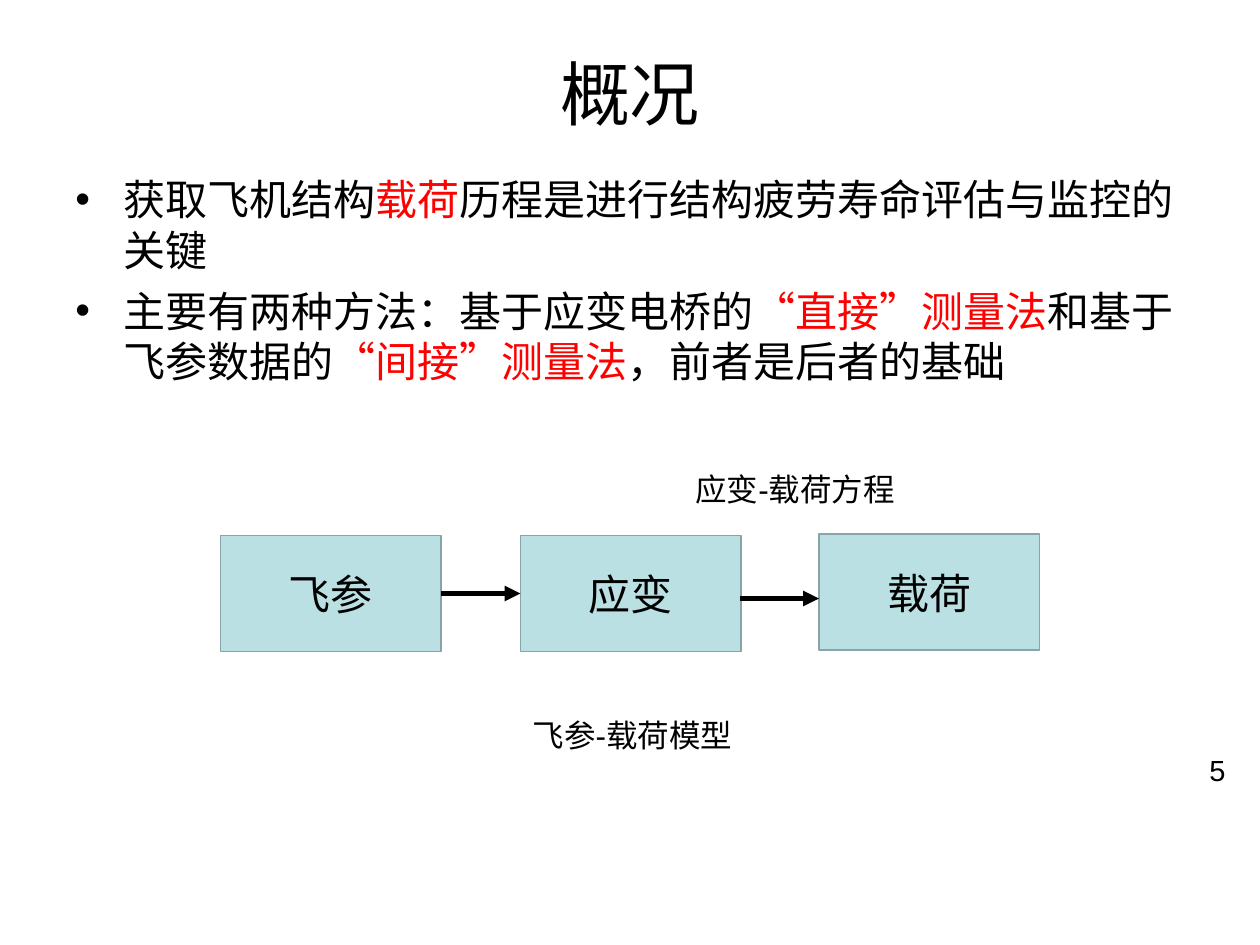
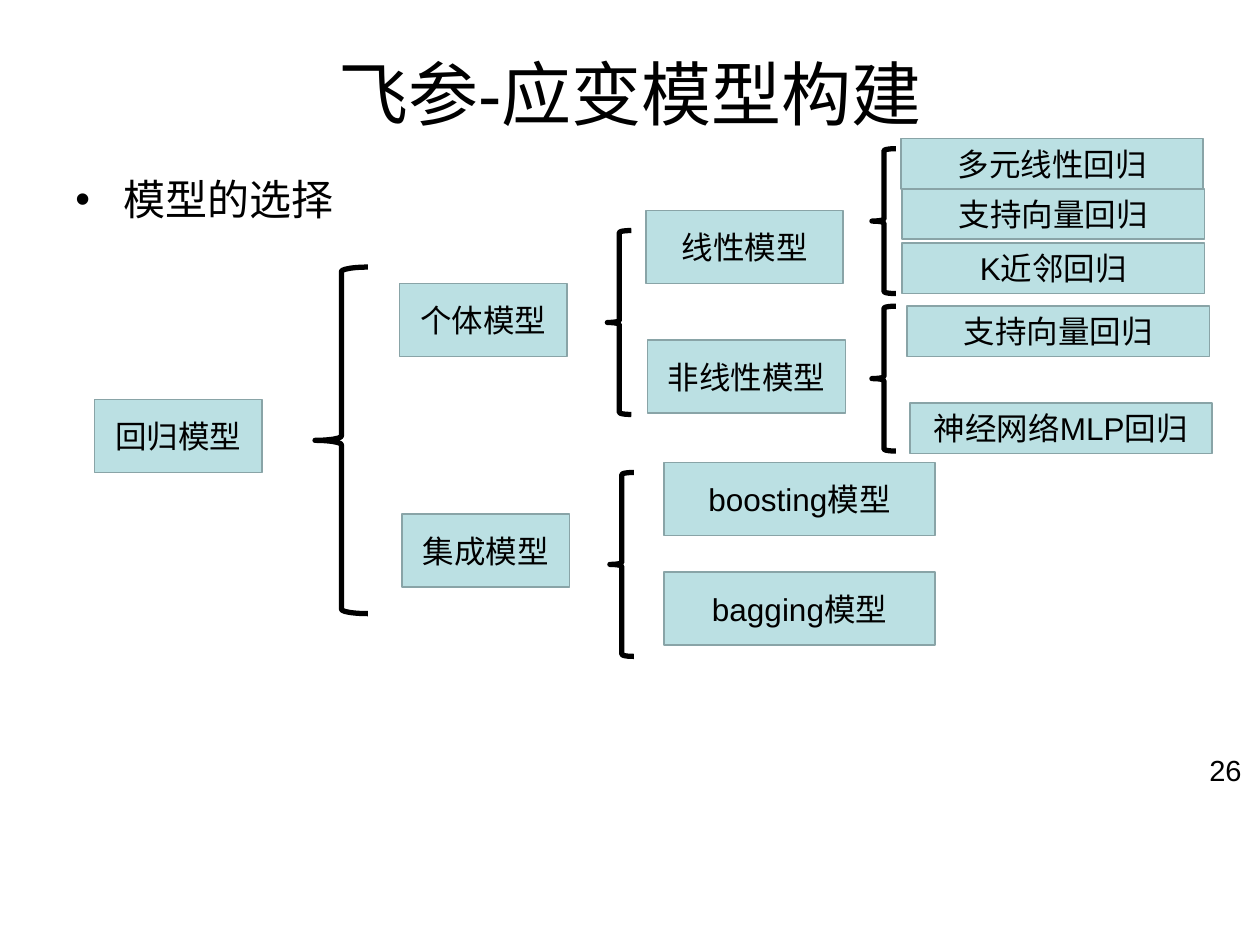
from pptx import Presentation
from pptx.dml.color import RGBColor
from pptx.enum.shapes import MSO_CONNECTOR, MSO_SHAPE
from pptx.enum.text import MSO_ANCHOR, PP_ALIGN
from pptx.oxml.ns import qn
from pptx.util import Pt
from lxml import etree

PX = 9144
BLACK = RGBColor(0x00, 0x00, 0x00)
RED = RGBColor(0xFF, 0x00, 0x00)
AQUA = RGBColor(0xBB, 0xE0, 0xE3)
GRAY = RGBColor(0x89, 0xA4, 0xA7)
RECT, BRACE = MSO_SHAPE.RECTANGLE, MSO_SHAPE.LEFT_BRACE
LINE = MSO_CONNECTOR.STRAIGHT
TOP, MIDDLE = MSO_ANCHOR.TOP, MSO_ANCHOR.MIDDLE
LEFT, CENTER = PP_ALIGN.LEFT, PP_ALIGN.CENTER

TITLE = {"size": 40, "align": CENTER, "anchor": MIDDLE}
BODY = {"size": 24, "align": LEFT, "anchor": TOP, "bullet": True}
NUMBER = {"size": 16.6, "align": LEFT, "anchor": TOP}
LABEL = {"size": 18, "align": LEFT, "anchor": TOP}
STEP = {"size": 24, "align": CENTER, "anchor": MIDDLE}
NODE = {"size": 18, "align": CENTER, "anchor": MIDDLE}


def write(shape, paras, form):
    frame = shape.text_frame
    for key, val in {"word_wrap": True, "vertical_anchor": form["anchor"]}.items():
        setattr(frame, key, val)
    for i, runs in enumerate(paras):
        para = frame.paragraphs[0] if i == 0 else frame.add_paragraph()
        para.alignment = form["align"]
        if i:
            para.space_before = Pt(6)
        if form.get("bullet"):
            props = para._p.get_or_add_pPr()
            props.set("marL", str(38 * PX))
            props.set("indent", str(-38 * PX))
            etree.SubElement(props, qn("a:buFont")).set("typeface", "Arial")
            etree.SubElement(props, qn("a:buChar")).set("char", "•")
        for text, color in runs:
            run = para.add_run()
            run.text = text
            for key, val in {"name": "Arial", "size": Pt(form["size"])}.items():
                setattr(run.font, key, val)
            run.font.color.rgb = color


def draw(slide, kind, area, fill, color, width):
    shape = slide.shapes.add_shape(kind, *[n * PX for n in area])
    shape.shadow.inherit = False
    if fill:
        shape.fill.solid()
        shape.fill.fore_color.rgb = fill
    else:
        shape.fill.background()
    shape.line.color.rgb = color
    shape.line.width = Pt(width)
    return shape


pages = [
    {
        "title": "概况",
        "body": [
            [("获取飞机结构", BLACK), ("载荷", RED),
             ("历程是进行结构疲劳寿命评估与监控的关键", BLACK)],
            [("主要有两种方法：基于应变电桥的", BLACK), ("“直接”测量法", RED),
             ("和基于飞参数据的", BLACK), ("“间接”测量法", RED),
             ("，前者是后者的基础", BLACK)],
        ],
        "number": "5",
        "form": STEP,
        "boxes": [
            ("飞参", 175, 425, 175, 92),
            ("应变", 413, 425, 175, 92),
            ("载荷", 650, 424, 175, 92),
        ],
        "braces": [],
        "arrows": [(350, 413, 471), (587, 650, 475)],
        "labels": [("应变-载荷方程", 542, 368), ("飞参-载荷模型", 413, 563)],
    },
    {
        "title": "飞参-应变模型构建",
        "body": [[("模型的选择", BLACK)]],
        "number": "26",
        "form": NODE,
        "boxes": [
            ("回归模型", 75, 317, 133, 58),
            ("个体模型", 317, 225, 133, 58),
            ("集成模型", 319, 408, 133, 58),
            ("boosting模型", 527, 367, 215, 58),
            ("bagging模型", 527, 454, 215, 58),
            ("线性模型", 513, 167, 156, 58),
            ("非线性模型", 514, 270, 157, 58),
            ("多元线性回归", 715, 110, 240, 40),
            ("支持向量回归", 716, 150, 240, 40),
            ("K近邻回归", 716, 193, 240, 40),
            ("支持向量回归", 720, 243, 240, 40),
            ("神经网络MLP回归", 722, 320, 240, 40),
        ],
        "braces": [
            (250, 212, 42, 275),
            (484, 375, 19, 146),
            (482, 183, 19, 146),
            (692, 118, 19, 115),
            (692, 243, 19, 115),
        ],
        "arrows": [],
        "labels": [],
    },
]

deck = Presentation()
for key, val in {"slide_width": 1000 * PX, "slide_height": 750 * PX}.items():
    setattr(deck, key, val)

for page in pages:
    slide = deck.slides.add_slide(deck.slide_layouts[6])
    texts = [
        ((50, 30, 900, 87), [[(page["title"], BLACK)]], TITLE),
        ((50, 133, 900, 483), page["body"], BODY),
        ((950, 592, 85, 40), [[(page["number"], BLACK)]], NUMBER),
    ]
    for text, x, y in page["labels"]:
        texts.append(((x, y, 216, 40), [[(text, BLACK)]], LABEL))
    for area, paras, form in texts:
        write(slide.shapes.add_textbox(*[n * PX for n in area]), paras, form)

    for area in page["braces"]:
        draw(slide, BRACE, area, None, BLACK, 3)
    for text, *area in page["boxes"]:
        box = draw(slide, RECT, area, AQUA, GRAY, 1)
        write(box, [[(text, BLACK)]], page["form"])

    for start, end, y in page["arrows"]:
        arrow = slide.shapes.add_connector(LINE, start * PX, y * PX, end * PX, y * PX)
        arrow.line.color.rgb = BLACK
        arrow.line.width = Pt(3)
        etree.SubElement(arrow.line._get_or_add_ln(), qn("a:tailEnd")).set("type", "triangle")
        etree.SubElement(arrow._element.spPr, qn("a:effectLst"))

deck.save("out.pptx")
